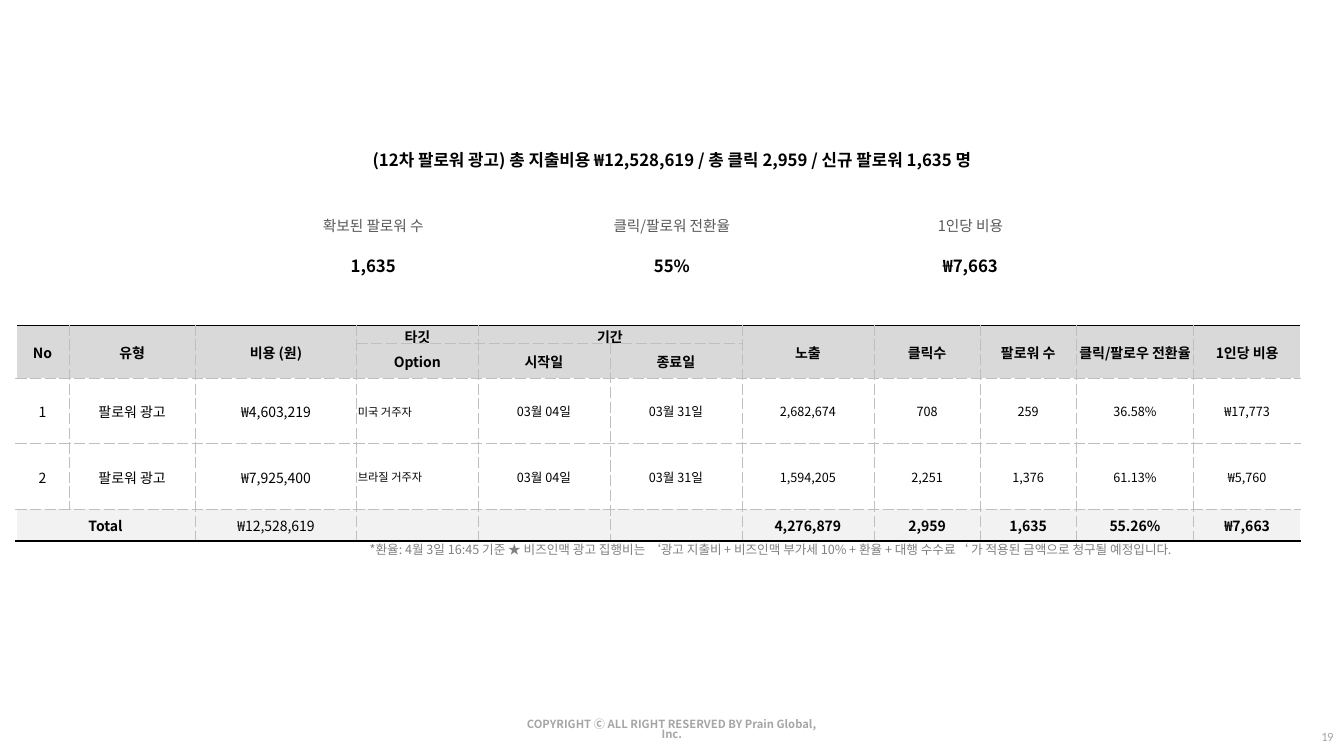
from dataclasses import dataclass

from lxml import etree
from pptx import Presentation
from pptx.dml.color import RGBColor
from pptx.enum.text import MSO_ANCHOR, PP_ALIGN
from pptx.oxml.ns import qn
from pptx.util import Pt

LEFT, MID, RIGHT = PP_ALIGN.LEFT, PP_ALIGN.CENTER, PP_ALIGN.RIGHT
TOP, CENTER = MSO_ANCHOR.TOP, MSO_ANCHOR.MIDDLE


@dataclass(frozen=True)
class Theme:
    font: str = "Noto Sans CJK KR"
    page_font: str = "Calibri"
    ink: str = "000000"
    label: str = "595959"
    note: str = "808080"
    foot: str = "A6A6A6"
    rule: str = "BFBFBF"
    head: str = "D9D9D9"
    total: str = "F2F2F2"
    big: float = 12
    lead: float = 10.5
    body: float = 10
    small: float = 9
    tiny: float = 8


T = Theme()

COLS = [38, 90, 115.5, 86.5, 94.3, 94.3, 94.3, 76, 68.5, 84, 76.3]
ROWS = [12.2, 12.2, 47, 47, 22.5]
DATA = [
    ["No", "유형", "비용 (원)", "타깃", "기간", "", "노출", "클릭수",
     "팔로워 수", "클릭/팔로우 전환율", "1인당 비용"],
    ["", "", "", "Option", "시작일", "종료일", "", "", "", "", ""],
    ["1", "팔로워 광고", "₩4,603,219", "미국 거주자", "03월 04일", "03월 31일",
     "2,682,674", "708", "259", "36.58%", "₩17,773"],
    ["2", "팔로워 광고", "₩7,925,400", "브라질 거주자", "03월 04일", "03월 31일",
     "1,594,205", "2,251", "1,376", "61.13%", "₩5,760"],
    ["Total", "", "₩12,528,619", "", "", "", "4,276,879", "2,959", "1,635",
     "55.26%", "₩7,663"],
]
TALL = [0, 1, 2, 6, 7, 8, 9, 10]  # header columns that span both header rows
SUMS = [
    ["확보된 팔로워 수", "클릭/팔로워 전환율", "1인당 비용"],
    ["1,635", "55%", "₩7,663"],
]


def write(para, text, size, color, bold=False, align=MID, face=T.font):
    para.alignment = align
    run = para.add_run()
    run.text = text
    font = run.font
    font.size, font.bold = Pt(size), bold
    font.color.rgb = RGBColor.from_string(color)
    font.name = face
    etree.SubElement(run._r.rPr, qn("a:ea"), typeface=face)
    return run


def add_text(slide, box, text, size, color, bold=False, align=MID,
             face=T.font, anchor=TOP, space=1.0, inset=None):
    shape = slide.shapes.add_textbox(*map(Pt, box))
    frame = shape.text_frame
    frame.word_wrap = True
    frame.vertical_anchor = anchor
    if inset is not None:
        frame.margin_left = frame.margin_right = Pt(inset)
        frame.margin_top = frame.margin_bottom = Pt(inset)
    para = frame.paragraphs[0]
    para.line_spacing = space
    return write(para, text, size, color, bold, align, face)


def add_grid(slide, left, top, cols, rows):
    """Add a table with no banding and the given column and row sizes."""
    table = slide.shapes.add_table(
        len(rows), len(cols), Pt(left), Pt(top),
        Pt(sum(cols)), Pt(sum(rows))).table
    table.first_row = table.horz_banding = False
    for col, width in zip(table.columns, cols):
        col.width = Pt(width)
    for row, height in zip(table.rows, rows):
        row.height = Pt(height)
    return table


def fill_cell(cell, text, size, color, bold=False, align=MID, back=None):
    cell.margin_left = cell.margin_right = cell.margin_top = Pt(0.7)
    cell.margin_bottom = Pt(0)
    cell.vertical_anchor = CENTER
    para = cell.text_frame.paragraphs[0]
    if text:
        write(para, text, size, color, bold, align)
    else:
        # keeps an empty cell from stretching its row
        etree.SubElement(para._p, qn("a:endParaRPr"), sz=str(int(size * 100)))
    if back:
        cell.fill.solid()
        cell.fill.fore_color.rgb = RGBColor.from_string(back)
    else:
        cell.fill.background()


def edge(cell, side, color, width, dash):
    """Draw one border; sides must come in the order L, R, T, B."""
    props = cell._tc.get_or_add_tcPr()
    line = etree.SubElement(props, qn("a:ln" + side), w=str(Pt(width)))
    fill = etree.SubElement(line, qn("a:solidFill"))
    etree.SubElement(fill, qn("a:srgbClr"), val=color)
    etree.SubElement(line, qn("a:prstDash"), val=dash)


def rule_cell(cell, row, col):
    """Dashed lines inside, black lines above and below, open sides."""
    last = len(ROWS) - 1
    soft, hard = (T.rule, 0.5, "dash"), (T.ink, 1, "solid")
    if col > 0:
        edge(cell, "L", *soft)
    if col < len(COLS) - 1:
        edge(cell, "R", *soft)
    edge(cell, "T", *(hard if row == 0 else soft))
    edge(cell, "B", *(hard if row == last else soft))


def cell_style(row, col):
    """Return size, bold, alignment and fill for a cell of the ad table."""
    if row < 2:
        return T.body, True, MID, T.head
    if row == len(ROWS) - 1:
        return T.body, col != 2, MID, T.total
    if col == 3:
        return T.tiny, False, LEFT, None
    return (T.body if col < 3 else T.small), False, MID, None


def add_ads(slide):
    table = add_grid(slide, 11.4, 232.4, COLS, ROWS)
    for r, line in enumerate(DATA):
        for c, text in enumerate(line):
            cell = table.cell(r, c)
            size, bold, align, back = cell_style(r, c)
            rule_cell(cell, r, c)
            fill_cell(cell, text, size, T.ink, bold, align, back)
    for c in TALL:
        table.cell(0, c).merge(table.cell(1, c))
    table.cell(0, 4).merge(table.cell(0, 5))
    table.cell(4, 0).merge(table.cell(4, 1))


def add_sums(slide):
    table = add_grid(slide, 160, 145.5, [213.3] * 3, [29.2] * 2)
    looks = [(T.lead, T.label, False), (T.big, T.ink, True)]
    for r, (line, look) in enumerate(zip(SUMS, looks)):
        for c, text in enumerate(line):
            fill_cell(table.cell(r, c), text, *look)


def main():
    deck = Presentation()
    deck.slide_width, deck.slide_height = Pt(960), Pt(540)
    slide = deck.slides.add_slide(deck.slide_layouts[6])
    add_text(slide, (363.6, 510.5, 232.6, 17.3),
             "COPYRIGHT Ⓒ ALL RIGHT RESERVED BY Prain Global, Inc.",
             T.tiny, T.foot, bold=True, space=0.8)
    page = add_text(slide, (929.5, 517, 37.4, 18), "19", T.small, T.foot,
                    face=T.page_font)
    page._r.rPr.set("spc", "-60")
    add_ads(slide)
    add_text(slide, (160.6, 95, 638.6, 39.6),
             "(12차 팔로워 광고) 총 지출비용 ₩12,528,619 / 총 클릭 2,959 / "
             "신규 팔로워 1,635 명",
             T.big, T.ink, bold=True, anchor=CENTER, space=0.9)
    add_sums(slide)
    add_text(slide, (197.3, 383.8, 639.3, 18.7),
             "*환율: 4월 3일 16:45 기준 ★ 비즈인맥 광고 집행비는 ‘광고 지출비 + "
             "비즈인맥 부가세 10% + 환율 + 대행 수수료‘ 가 적용된 금액으로 "
             "청구될 예정입니다.",
             T.small, T.note, align=RIGHT, anchor=CENTER, space=0.9, inset=0)
    deck.save("out.pptx")


if __name__ == "__main__":
    main()
